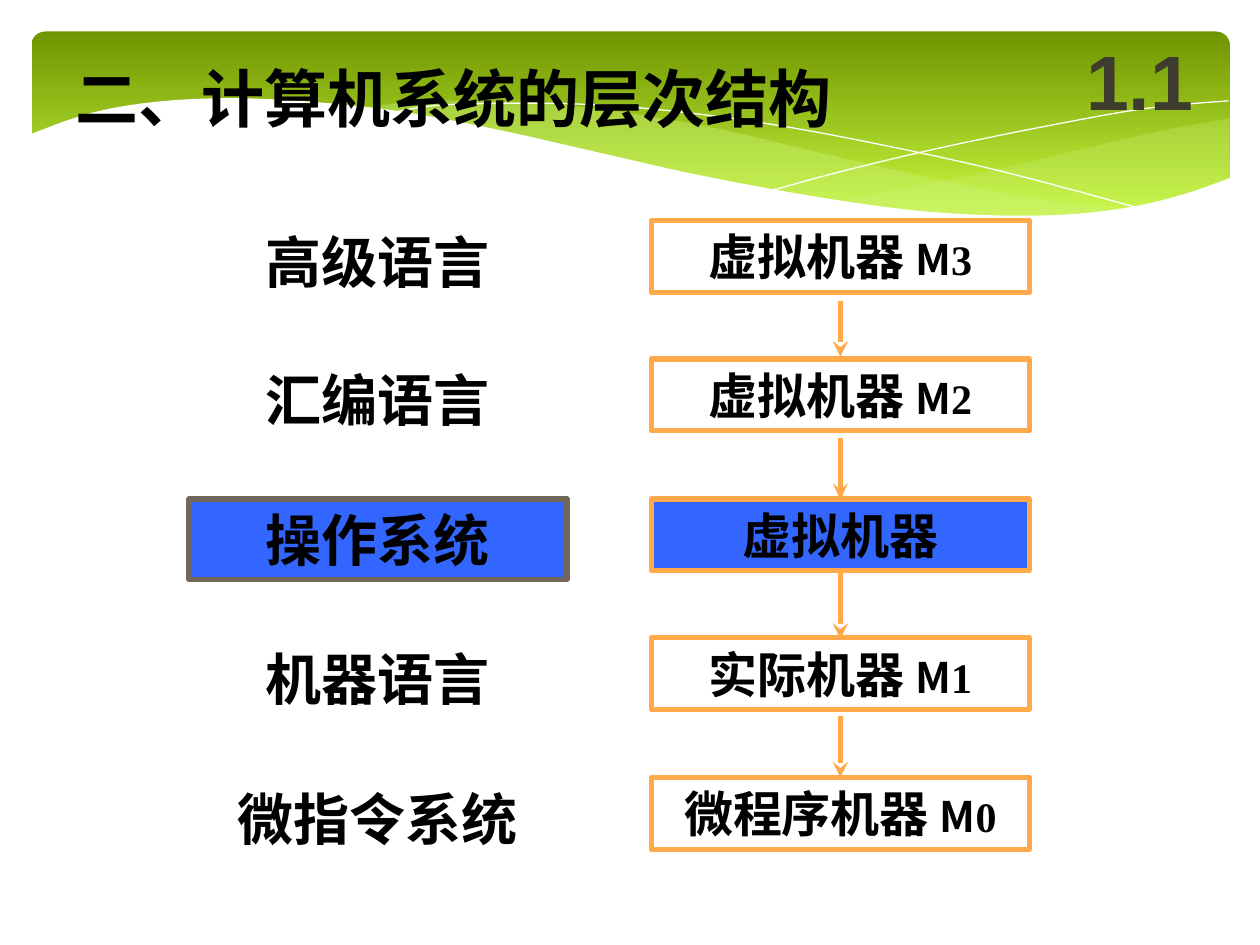
from lxml import etree
from pptx import Presentation
from pptx.dml.color import RGBColor
from pptx.enum.shapes import MSO_CONNECTOR as Connector, MSO_SHAPE as Shape
from pptx.enum.text import MSO_ANCHOR as Anchor, PP_ALIGN as Align
from pptx.oxml.ns import qn
from pptx.util import Pt

EMU_PER_PX = 9144
CJK, SERIF, SANS = "Noto Sans CJK SC", "Times New Roman", "Arial"
BLACK, WHITE, BLUE, ORANGE, TAUPE = "000000", "FFFFFF", "3366FF", "FFA94A", "71685A"
PALE_GREEN = "CAF278"


def px(length):
    return round(length * EMU_PER_PX)


def color(value):
    return RGBColor.from_string(value)


def smooth(knots, steps=6):
    ends = [knots[0], *knots, knots[-1]]
    curve = []
    for a, b, c, d in zip(ends, ends[1:], ends[2:], ends[3:]):
        for step in range(steps):
            t = step / steps
            curve.append(tuple(
                (2 * q + (r - p) * t + (2 * p - 5 * q + 4 * r - s) * t ** 2
                 + (3 * q - p - 3 * r + s) * t ** 3) / 2
                for p, q, r, s in zip(a, b, c, d)))
    return curve + [knots[-1]]


class SlideBuilder:
    """Draws styled elements on the current slide, measured at 100 px to the inch."""

    def __init__(self, slide):
        self.shapes = slide.shapes

    def paint(self, shape, fill=None, line=None, width=3, alpha=None):
        shape.shadow.inherit = False
        if fill:
            shape.fill.solid()
            shape.fill.fore_color.rgb = color(fill)
            if alpha:
                tint = shape._element.spPr.find(".//" + qn("a:srgbClr"))
                etree.SubElement(tint, qn("a:alpha")).set("val", str(alpha * 1000))
        else:
            shape.fill.background()
        if line:
            shape.line.color.rgb = color(line)
            shape.line.width = Pt(width)
        else:
            shape.line.fill.background()

    def banner(self, left, top, width, height, start, end):
        shape = self.shapes.add_shape(Shape.ROUNDED_RECTANGLE, *map(px, (left, top, width, height)))
        self.paint(shape)
        shape.adjustments[0] = 0.07
        shape.fill.gradient()
        shape.fill.gradient_angle = 270
        for stop, value, position in zip(shape.fill.gradient_stops, (start, end), (0, 1)):
            stop.color.rgb = color(value)
            stop.position = position

    def curve(self, points, closed=True, **style):
        start, *rest = [(px(x), px(y)) for x, y in points]
        builder = self.shapes.build_freeform(*start)
        builder.add_line_segments(rest, close=closed)
        self.paint(builder.convert_to_shape(), **style)

    def arrow(self, x, top, bottom):
        connector = self.shapes.add_connector(Connector.STRAIGHT, px(x), px(top), px(x), px(bottom))
        connector.line.color.rgb = color(ORANGE)
        connector.line.width = Pt(3)
        properties = connector._element.spPr
        etree.SubElement(properties.find(qn("a:ln")), qn("a:tailEnd")).set("type", "stealth")
        etree.SubElement(properties, qn("a:effectLst"))

    def text(self, area, runs, align=Align.CENTER, anchor=Anchor.MIDDLE, ink=BLACK,
             fill=None, line=None):
        bounds = map(px, area)
        if line:
            box = self.shapes.add_shape(Shape.RECTANGLE, *bounds)
            self.paint(box, fill, line)
        else:
            box = self.shapes.add_textbox(*bounds)
        frame = box.text_frame
        frame.word_wrap = True
        frame.vertical_anchor = anchor
        para = frame.paragraphs[0]
        para.alignment = align
        for words, size, face in runs:
            span = para.add_run()
            span.text = words
            span.font.size, span.font.name, span.font.bold = Pt(size), face, True
            span.font.color.rgb = color(ink)
            latin = span._r.find(".//" + qn("a:latin"))
            latin.addnext(etree.Element(qn("a:ea"), typeface=CJK))


def draw_header(page):
    page.banner(25, 25, 951, 156, "6F9500", "D0FF44")
    right_top = [(975, 94), (921, 104), (861, 118), (779, 137), (706, 152), (661, 160)]
    right_bottom = [(661, 160), (718, 167), (769, 171), (814, 172), (863, 170),
                    (905, 163), (942, 154), (976, 141)]
    page.curve(smooth(right_top) + smooth(right_bottom) + [(976, 94)], fill=PALE_GREEN, alpha=29)
    wide_top = [(893, 167), (837, 160), (775, 149), (706, 134), (629, 116), (569, 102),
                (501, 90), (441, 83), (380, 80), (328, 81), (286, 86)]
    wide_bottom = [(286, 86), (342, 94), (404, 106), (491, 126), (566, 143), (634, 156),
                   (695, 165), (761, 171), (818, 173), (857, 171), (893, 167)]
    page.curve(smooth(wide_top) + smooth(wide_bottom), fill=PALE_GREEN, alpha=40)
    falling = [(309, 90), (343, 84), (401, 82), (469, 83), (532, 88), (608, 98),
               (695, 114), (795, 136), (907, 166)]
    rising = [(613, 151), (672, 135), (748, 117), (836, 99), (910, 86), (975, 80)]
    for strand in (falling, rising):
        page.curve(smooth(strand), closed=False, line=WHITE, width=0)
    wave = [(977, 141), (940, 154), (899, 164), (850, 170), (793, 171), (726, 167),
            (647, 156), (555, 139), (475, 121), (391, 102), (315, 88), (250, 81),
            (193, 78), (146, 79), (106, 83), (75, 89), (52, 96), (36, 102), (23, 107)]
    page.curve(smooth(wave) + [(23, 224), (977, 224)], fill=WHITE)


def main():
    deck = Presentation()
    deck.slide_width, deck.slide_height = px(1000), px(750)
    page = SlideBuilder(deck.slides.add_slide(deck.slide_layouts[6]))
    draw_header(page)
    page.text((50, 42, 850, 100), [("二、计算机系统的层次结构", 36, SERIF)],
              align=Align.LEFT, anchor=Anchor.TOP)
    page.text((842, 17, 125, 92), [("1.1", 44, SANS)], ink="3E3D2D")

    for top, bottom in ((239, 283), (348, 507), (348, 396), (568, 617)):
        page.arrow(667, top, bottom)
    levels = [("高级语言", "虚拟机器", "3"), ("汇编语言", "虚拟机器", "2"),
              ("操作系统", "虚拟机器", None), ("机器语言", "实际机器", "1"),
              ("微指令系统", "微程序机器", "0")]
    for row, (language, machine, number) in enumerate(levels):
        top = 175 + row * 221 // 2
        if number:
            fill, frame = None, None
            runs = [(machine + " ", 28, CJK), ("M", 24, CJK), (number, 24, SERIF)]
        else:
            fill, frame = BLUE, TAUPE
            runs = [(machine, 28, CJK)]
        page.text((150, top, 300, 64), [(language, 32, CJK)], fill=fill, line=frame)
        page.text((517, top, 300, 57), runs, fill=fill, line=ORANGE)

    deck.save("out.pptx")


if __name__ == "__main__":
    main()
